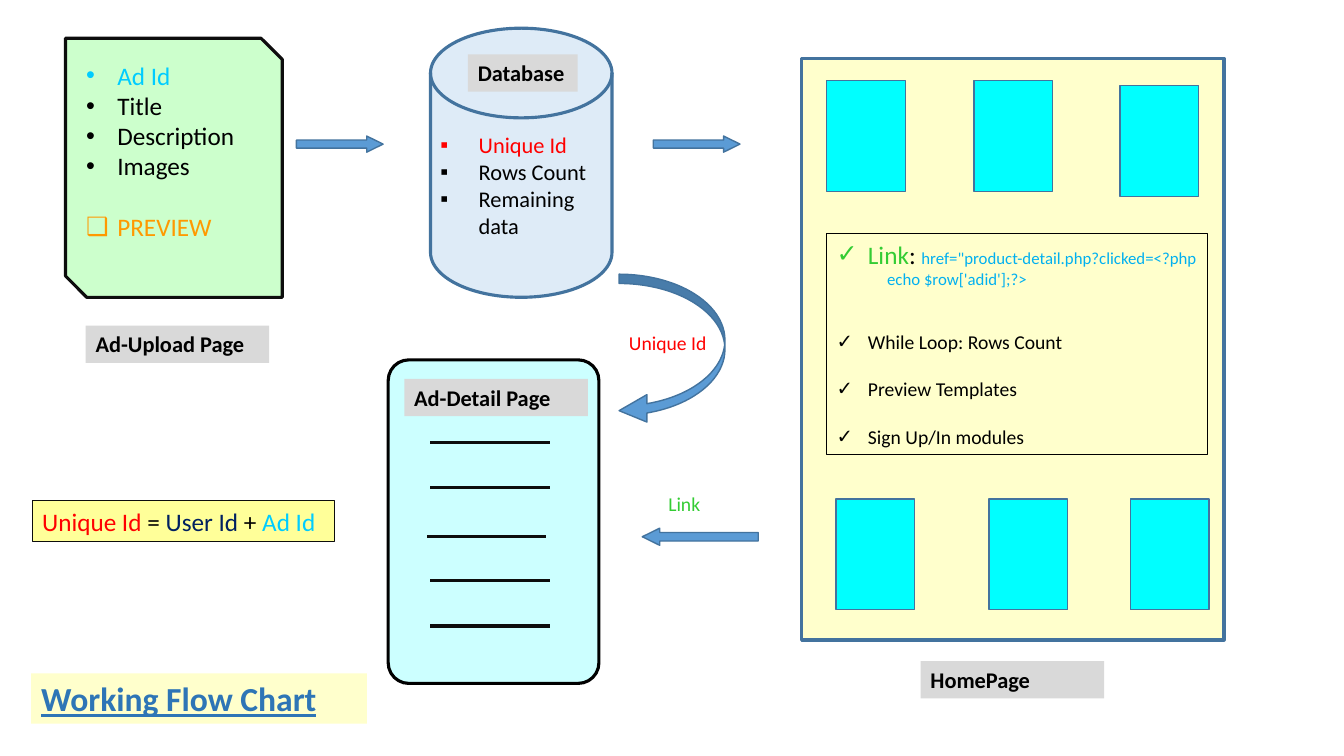
from dataclasses import dataclass
from typing import Optional

from lxml.etree import SubElement
from pptx import Presentation
from pptx.dml.color import RGBColor
from pptx.enum.shapes import MSO_CONNECTOR, MSO_SHAPE as Shp
from pptx.enum.text import MSO_ANCHOR as Anchor, PP_ALIGN as Align
from pptx.oxml.ns import qn
from pptx.util import Emu, Pt

PX = 9144  # 100 px to the inch


@dataclass(frozen=True)
class Theme:
    font: str = "Calibri"
    black: str = "000000"
    ink: str = "0D0D0D"
    edge: str = "43739E"
    arrow: str = "5B9BD5"
    cream: str = "FFFFCC"
    yellow: str = "FFFF99"
    mint: str = "CCFFCC"
    ice: str = "CCFFFF"
    disk: str = "DEEBF7"
    grey: str = "D9D9D9"
    card: str = "00FFFF"
    red: str = "FF0000"
    cyan: str = "00CCFF"
    orange: str = "FF9900"
    navy: str = "002060"
    green: str = "33CC33"
    code: str = "00B0F0"
    title: str = "2E75B6"
    title_size: int = 24
    large: int = 18
    label: int = 16
    body: int = 14
    small: int = 12
    thick: float = 2.25
    thin: float = 1
    hair: float = 0.75


T = Theme()


@dataclass
class Run:
    text: str
    size: int
    color: str = T.black
    bold: bool = False
    underline: bool = False


@dataclass
class Para:
    runs: list[Run]
    bullet: str = ""
    indent: int = 0
    before: int = 0


@dataclass
class Box:
    x: int
    y: int
    w: int
    h: int
    fill: Optional[str] = None
    line: Optional[str] = None
    weight: float = T.thin
    kind: Shp = Shp.RECTANGLE
    adj: tuple[float, ...] = ()
    turn: int = 0
    paras: tuple[Para, ...] = ()
    anchor: Anchor = Anchor.TOP
    top: int = 5


def px(n: int) -> Emu:
    return Emu(n * PX)


def write(tf, paras: tuple[Para, ...]) -> None:
    for i, para in enumerate(paras):
        p = tf.paragraphs[0] if i == 0 else tf.add_paragraph()
        p.alignment = Align.LEFT
        if para.before:
            p.space_before = Pt(para.before)
        if para.bullet:
            pPr = p._p.get_or_add_pPr()
            pPr.set("marL", str(px(para.indent)))
            pPr.set("indent", str(-px(para.indent)))
            SubElement(pPr, qn("a:buFont")).set("typeface", "Arial")
            SubElement(pPr, qn("a:buChar")).set("char", para.bullet)
        for run in para.runs:
            r = p.add_run()
            r.text = run.text
            fmt = {"name": T.font, "size": Pt(run.size),
                   "bold": run.bold, "underline": run.underline}
            for key, value in fmt.items():
                setattr(r.font, key, value)
            r.font.color.rgb = RGBColor.from_string(run.color)


def draw(s, b: Box) -> None:
    sp = s.shapes.add_shape(b.kind, px(b.x), px(b.y), px(b.w), px(b.h))
    sp.shadow.inherit = False
    sp.rotation = b.turn
    for i, value in enumerate(b.adj):
        sp.adjustments[i] = value
    for part, color in ((sp.fill, b.fill), (sp.line.fill, b.line)):
        if color:
            part.solid()
            part.fore_color.rgb = RGBColor.from_string(color)
        else:
            part.background()
    if b.line:
        sp.line.width = Pt(b.weight)
    if b.paras:
        tf = sp.text_frame
        fmt = {"word_wrap": True, "vertical_anchor": b.anchor, "margin_top": px(b.top)}
        for key, value in fmt.items():
            setattr(tf, key, value)
        write(tf, b.paras)


def caption(s, x: int, y: int, w: int, run: Run) -> None:
    tf = s.shapes.add_textbox(px(x), px(y), px(w), px(34)).text_frame
    tf.word_wrap = True
    write(tf, (Para([run]),))


def rule(s, x: int, y: int, w: int) -> None:
    c = s.shapes.add_connector(MSO_CONNECTOR.STRAIGHT, px(x), px(y), px(x + w), px(y))
    c.line.color.rgb = RGBColor.from_string(T.ink)
    c.line.width = Pt(T.thick)
    SubElement(c._element.spPr, qn("a:effectLst"))


def item(text: str, size: int, bullet: str, indent: int,
         color: str = T.black, before: int = 0) -> Para:
    return Para([Run(text, size, color)], bullet, indent, before)


# Text of the boxes
DATABASE = (item("Unique Id", T.label, "▪", 38, T.red),
            item("Rows Count", T.label, "▪", 38),
            item("Remaining data", T.label, "▪", 38))
UPLOAD = (item("Ad Id", T.large, "•", 31, T.cyan),
          *(item(t, T.large, "•", 31) for t in ("Title", "Description", "Images")),
          item("PREVIEW", T.large, "❑", 31, T.orange, before=22))
FORMULA = Para([Run("Unique Id", T.large, T.red), Run(" = ", T.large),
                Run("User Id ", T.large, T.navy), Run("+ ", T.large),
                Run("Ad Id", T.large, T.cyan)])
LINK = Para([Run("Link", T.large, T.green), Run(": ", T.large),
             Run("href=\"product-detail.php?clicked=<?php \techo $row['adid'];?>",
                 T.small, T.code)], "✓", 31)
HOME = (LINK, item("While Loop: Rows Count", T.body, "✓", 31, before=29),
        *(item(t, T.body, "✓", 31, before=17)
          for t in ("Preview Templates", "Sign Up/In modules")))
TITLE = Para([Run("Working Flow Chart", T.title_size, T.title, True, True)])

# Pages and database
PAGES = [
    Box(795, 58, 419, 577, T.cream, T.edge, T.thick),
    Box(427, 28, 180, 267, T.disk, T.edge, T.thick, Shp.FLOWCHART_MAGNETIC_DISK,
        paras=DATABASE, anchor=Anchor.MIDDLE),
    Box(385, 357, 209, 321, T.ice, T.black, T.thick, Shp.ROUNDED_RECTANGLE, (0.098,)),
    Box(65, 38, 215, 257, T.mint, T.ink, T.thick, Shp.SNIP_2_DIAG_RECTANGLE,
        (0, 0.098), paras=UPLOAD, top=11),
    Box(32, 497, 300, 40, T.yellow, T.ink, T.hair, paras=(FORMULA,)),
    Box(820, 232, 378, 219, None, T.black, T.hair, paras=HOME),
    Box(31, 668, 333, 50, T.cream, paras=(TITLE,)),
]
# Arrows: x, y, width, height, turn
ARROWS = [(294, 135, 86, 16, 0), (637, 524, 115, 17, 180), (648, 135, 86, 16, 0)]
CURVE = Box(614, 272, 105, 149, T.arrow, T.edge, kind=Shp.CURVED_LEFT_ARROW,
            adj=(0.088, 0.259, 0.263))
LABELS = [("Ad-Upload Page", 85, 323, 182), ("Database", 464, 54, 109),
          ("Ad-Detail Page", 401, 376, 182), ("HomePage", 913, 656, 182)]
CARDS = [(820, 80), (966, 80), (1111, 85), (829, 495), (981, 495), (1121, 495)]
RULES = [(427, 439), (427, 484), (424, 532), (427, 576), (427, 621)]


def main() -> None:
    prs = Presentation()
    prs.slide_width, prs.slide_height = px(1333), px(750)
    s = prs.slides.add_slide(prs.slide_layouts[6])
    for page in PAGES:
        draw(s, page)
    for x, y, w, h, turn in ARROWS:
        draw(s, Box(x, y, w, h, T.arrow, T.edge, kind=Shp.RIGHT_ARROW,
                    adj=(0.5, 1.016), turn=turn))
    draw(s, CURVE)
    for text, x, y, w in LABELS:
        draw(s, Box(x, y, w, 37, T.grey, paras=(Para([Run(text, T.label, bold=True)]),)))
    for x, y in CARDS:
        draw(s, Box(x, y, 78, 110, T.card, T.edge))
    caption(s, 653, 483, 103, Run("Link", T.body, T.green))
    caption(s, 614, 323, 103, Run("Unique Id", T.body, T.red))
    for x, y in RULES:
        rule(s, x, y, 118)
    prs.save("out.pptx")


if __name__ == "__main__":
    main()
